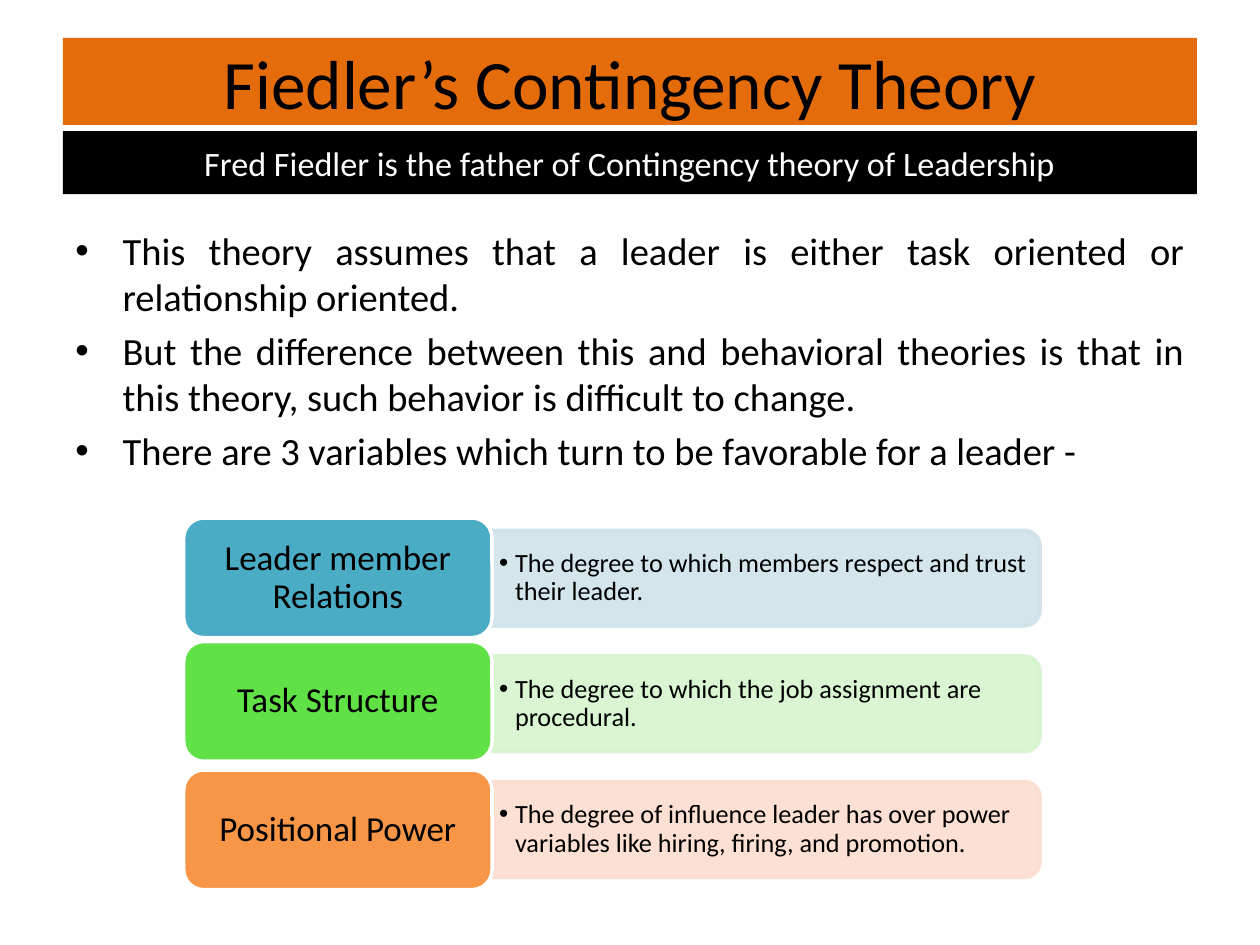
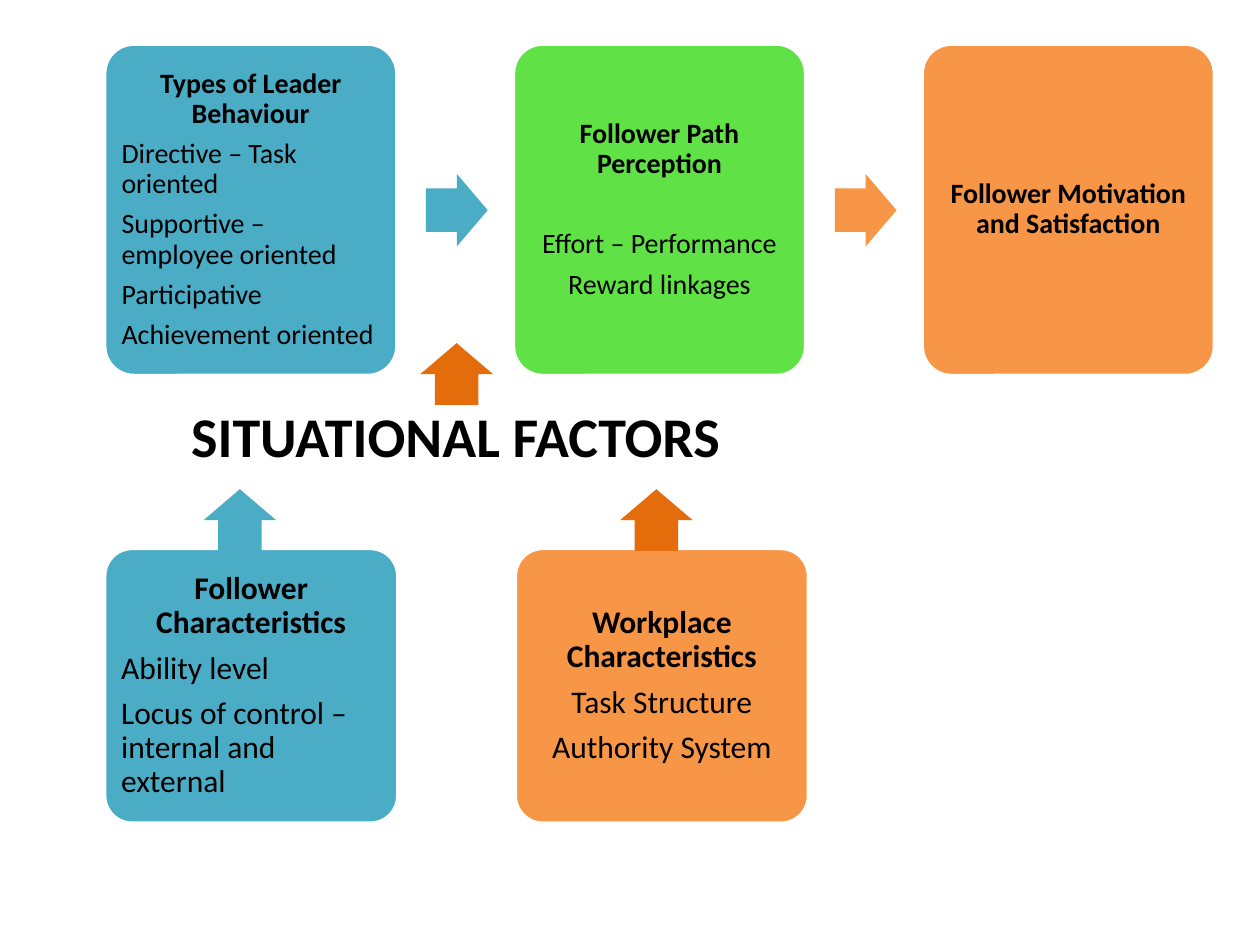
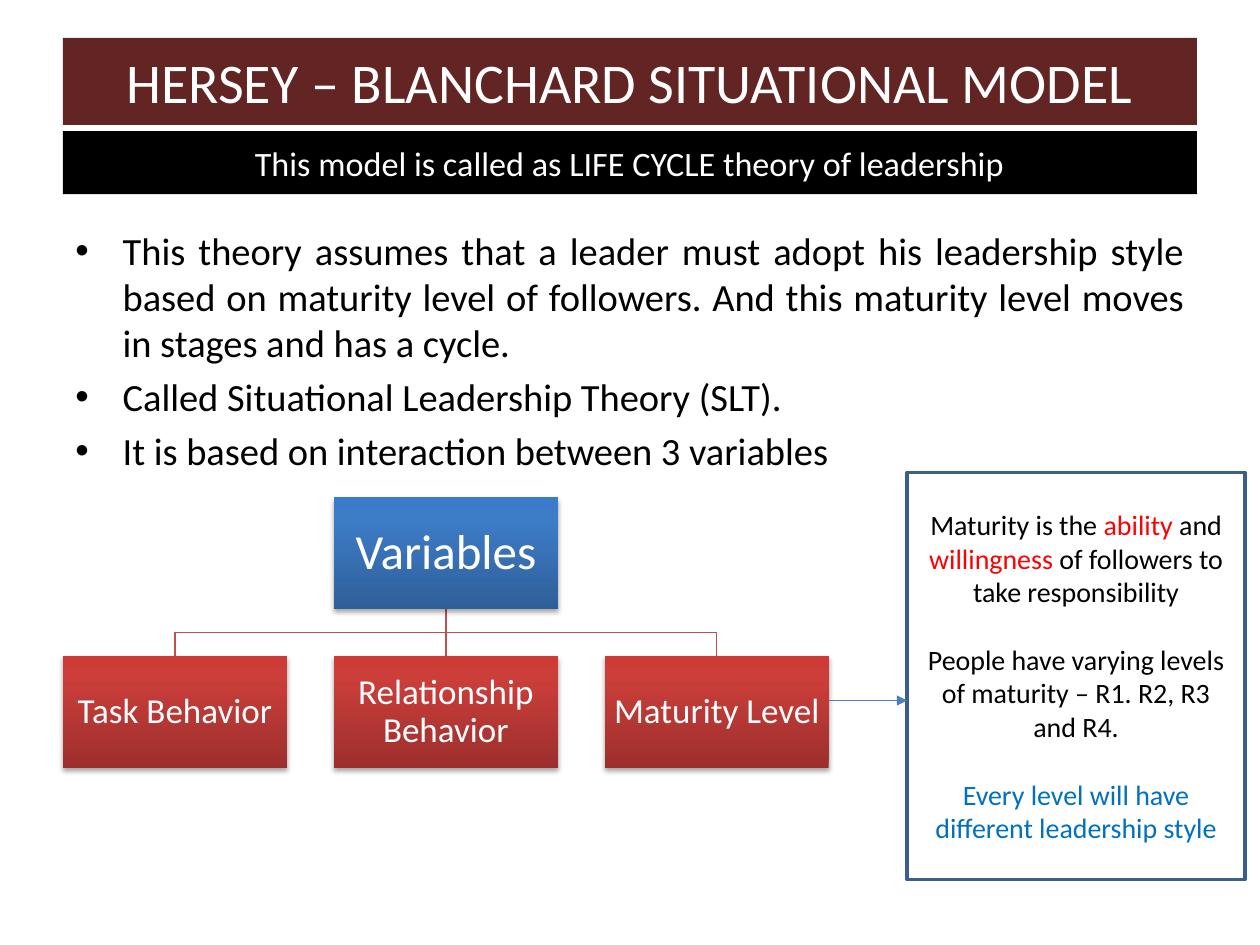
from dataclasses import dataclass
from lxml import etree
from pptx import Presentation
from pptx import util as u
from pptx.dml.color import RGBColor
from pptx.enum import shapes, text
from pptx.oxml import parse_xml
from pptx.oxml.ns import qn

Pt = u.Pt
Kind = shapes.MSO_SHAPE
Align = text.PP_ALIGN
Anchor = text.MSO_ANCHOR

FONT = "Calibri"
BLACK = RGBColor(0x00, 0x00, 0x00)
WHITE = RGBColor(0xFF, 0xFF, 0xFF)
RED = RGBColor(0xFF, 0x00, 0x00)
BLUE = RGBColor(0x00, 0x70, 0xC0)
TEAL = RGBColor(0x4B, 0xAC, 0xC6)
GREEN = RGBColor(0x60, 0xE1, 0x46)
ORANGE = RGBColor(0xF7, 0x96, 0x46)
DARK_ORANGE = RGBColor(0xE4, 0x6C, 0x0A)
MAROON = RGBColor(0x63, 0x25, 0x23)
PALE_TEAL = RGBColor(0xD0, 0xE3, 0xEA)
PALE_GREEN = RGBColor(0xD6, 0xF4, 0xCE)
PALE_ORANGE = RGBColor(0xFC, 0xDD, 0xCF)
TREE_LINE = RGBColor(0xC0, 0x50, 0x4D)
NOTE_LINE = RGBColor(0x3A, 0x5F, 0x8C)
ARROW_LINE = RGBColor(0x4B, 0x7E, 0xBC)
# Gradient stops, from bottom to top: position in percent, colour
BLUE_STOPS = [(0, RGBColor(0x2F, 0x5F, 0x99)), (80, RGBColor(0x3D, 0x7C, 0xC7)),
              (100, RGBColor(0x3A, 0x7C, 0xCB))]
RED_STOPS = [(0, RGBColor(0x9C, 0x2F, 0x2D)), (80, RGBColor(0xCB, 0x3E, 0x3A)),
             (100, RGBColor(0xCE, 0x3B, 0x37))]


@dataclass
class Line:
    """One paragraph; runs is a string or a list of (text, colour)."""
    runs: object
    align: object = Align.CENTER
    bold: bool = False
    before: float = 0


def heading(words):
    return Line(words, bold=True)


def left(words):
    return Line(words, Align.LEFT)


# ---------- Content ----------
FIEDLER = {
    "title": "Fiedler’s Contingency Theory", "size": 39.6,
    "fill": DARK_ORANGE, "color": BLACK,
    "subtitle": "Fred Fiedler is the father of Contingency theory of Leadership",
    "bullets": [
        "This theory assumes that a leader is either task oriented or relationship oriented.",
        "But the difference between this and behavioral theories is that in this theory, "
        "such behavior is difficult to change.",
        "There are 3 variables which turn to be favorable for a leader -"],
}
# Label, explanation, label fill, panel fill, label top
FIEDLER_VARIABLES = [
    ("Leader member Relations",
     "The degree to which members respect and trust their leader.", TEAL, PALE_TEAL, 296),
    ("Task Structure",
     "The degree to which the job assignment are procedural.", GREEN, PALE_GREEN, 366.6),
    ("Positional Power",
     "The degree of influence leader has over power variables like hiring, firing, "
     "and promotion.", ORANGE, PALE_ORANGE, 440),
]
PATH_STEPS = [
    (TEAL, [heading("Types of Leader Behaviour"), left("Directive – Task oriented"),
            left("Supportive – employee oriented"), left("Participative"),
            left("Achievement oriented")]),
    (GREEN, [heading("Follower Path Perception"),
             Line("Effort – Performance", before=22.9), Line("Reward linkages")]),
    (ORANGE, [heading("Follower Motivation and Satisfaction")]),
]
STEP_ARROWS = [TEAL, ORANGE]
FACTORS_TITLE = "SITUATIONAL FACTORS"
# Fill, text, arrow left, arrow fill
FACTORS = [
    (TEAL, [heading("Follower Characteristics"), left("Ability level"),
            left("Locus of control – internal and external")], 119.4, TEAL),
    (ORANGE, [heading("Workplace Characteristics"), Line("Task Structure"),
              Line("Authority System")], 357.4, DARK_ORANGE),
]
HERSEY = {
    "title": "HERSEY – BLANCHARD SITUATIONAL MODEL", "size": 32,
    "fill": MAROON, "color": WHITE,
    "subtitle": "This model is called as LIFE CYCLE theory of leadership",
    "bullets": [
        "This theory assumes that a leader must adopt his leadership style based on maturity "
        "level of followers. And this maturity level moves in stages and has a cycle.",
        "Called Situational Leadership Theory (SLT).",
        "It is based on interaction between 3 variables"],
}
TREE_ROOT = "Variables"
TREE_LEAVES = ["Task Behavior", "Relationship Behavior", "Maturity Level"]
MATURITY_NOTE = [
    Line([("Maturity is the ", BLACK), ("ability", RED), (" and ", BLACK),
          ("willingness", RED), (" of followers to take responsibility", BLACK)]),
    Line("People have varying levels of maturity – R1. R2, R3 and R4.", before=19.5),
    Line([("Every level will have different leadership style", BLUE)], before=19.5),
]


# ---------- Helpers ----------
def write(shape, lines, size, color=BLACK, anchor=Anchor.MIDDLE, insets=(7.2, 3.6),
          spacing=None, before=0, after=0, bullet_indent=0):
    frame = shape.text_frame
    frame.word_wrap = True
    frame.vertical_anchor = anchor
    frame.margin_left = frame.margin_right = Pt(insets[0])
    frame.margin_top = frame.margin_bottom = Pt(insets[1])
    for index, line in enumerate(lines):
        paragraph = frame.add_paragraph() if index else frame.paragraphs[0]
        paragraph.alignment = line.align
        paragraph.space_before = Pt(before + line.before)
        paragraph.space_after = Pt(after)
        if spacing:
            paragraph.line_spacing = spacing
        if bullet_indent:
            properties = paragraph._p.get_or_add_pPr()
            properties.set("marL", str(Pt(bullet_indent)))
            properties.set("indent", str(-Pt(bullet_indent)))
            etree.SubElement(properties, qn("a:buFont"), typeface="Arial")
            etree.SubElement(properties, qn("a:buChar"), char="•")
        runs = [(line.runs, color)] if isinstance(line.runs, str) else line.runs
        for words, run_color in runs:
            run = paragraph.add_run()
            run.text = words
            run.font.name = FONT
            run.font.size = Pt(size)
            run.font.bold = line.bold
            run.font.color.rgb = run_color


def add_shape(slide, kind, box, fill=None, line=None, width=2, adjust=(), rotation=0):
    shape = slide.shapes.add_shape(kind, *map(Pt, box))
    shape.shadow.inherit = False
    shape.rotation = rotation
    for index, value in enumerate(adjust):
        shape.adjustments[index] = value
    if fill is None:
        shape.fill.background()
    else:
        shape.fill.solid()
        shape.fill.fore_color.rgb = fill
    if line is None:
        shape.line.fill.background()
    else:
        shape.line.color.rgb = line
        shape.line.width = Pt(width)
    return shape


def add_text(slide, box, lines, size, **options):
    write(slide.shapes.add_textbox(*map(Pt, box)), lines, size, **options)


def add_line(slide, start, end, color, arrow=False):
    connector = slide.shapes.add_connector(
        shapes.MSO_CONNECTOR.STRAIGHT, *map(Pt, start + end))
    connector.line.color.rgb = color
    connector.line.width = Pt(0.75)
    if arrow:
        etree.SubElement(connector.line._get_or_add_ln(), qn("a:tailEnd"), type="triangle")
    etree.SubElement(connector._element.spPr, qn("a:effectLst"))


def add_elbow(slide, points, color):
    builder = slide.shapes.build_freeform(*map(Pt, points[0]))
    builder.add_line_segments([tuple(map(Pt, point)) for point in points[1:]], close=False)
    elbow = builder.convert_to_shape()
    elbow.shadow.inherit = False
    elbow.fill.background()
    elbow.line.color.rgb = color
    elbow.line.width = Pt(0.75)


def make_translucent(shape, percent):
    for color in shape._element.spPr.iter(qn("a:srgbClr")):
        etree.SubElement(color, qn("a:alpha"), val=str(percent * 1000))


def add_header(slide, content):
    bar = add_shape(slide, Kind.RECTANGLE, (36, 21.6, 648, 49.8), content["fill"])
    write(bar, [Line(content["title"])], content["size"], content["color"])
    bullets = [Line(words, Align.JUSTIFY) for words in content["bullets"]]
    add_text(slide, (36, 126, 648, 155.5), bullets, 22, anchor=Anchor.TOP,
             before=4.4, bullet_indent=27)
    band = add_shape(slide, Kind.RECTANGLE, (36, 75, 648, 36), BLACK)
    write(band, [Line(content["subtitle"])], 19.5, WHITE)


def add_card(slide, box, fill, lines, size, inset):
    card = add_shape(slide, Kind.ROUNDED_RECTANGLE, box, fill, WHITE, adjust=[0.1])
    write(card, lines, size, insets=(inset, inset), spacing=0.9, after=0.35 * size)


def add_block_arrow(slide, position, fill, rotation=0):
    add_shape(slide, Kind.RIGHT_ARROW, position + (35.3, 41.4), fill,
              adjust=[0.6, 0.5], rotation=rotation)


def add_tree_node(slide, box, label, size, stops):
    node = add_shape(slide, Kind.RECTANGLE, box, WHITE)
    properties = node._element.spPr
    namespace = 'xmlns:a="http://schemas.openxmlformats.org/drawingml/2006/main"'
    stop_xml = "".join(f'<a:gs pos="{position * 1000}"><a:srgbClr val="{color}"/></a:gs>'
                       for position, color in stops)
    properties.replace(properties.find(qn("a:solidFill")), parse_xml(
        f'<a:gradFill {namespace} rotWithShape="1"><a:gsLst>{stop_xml}</a:gsLst>'
        '<a:lin ang="16200000" scaled="0"/></a:gradFill>'))
    properties.replace(properties.find(qn("a:effectLst")), parse_xml(
        f'<a:effectLst {namespace}><a:outerShdw blurRad="{Pt(3.1)}" dist="{Pt(1.8)}" '
        'dir="5400000" rotWithShape="0"><a:srgbClr val="000000"><a:alpha val="35000"/>'
        '</a:srgbClr></a:outerShdw></a:effectLst>'))
    write(node, [Line(label)], size, WHITE, insets=(1, 1), spacing=0.9)


presentation = Presentation()
presentation.slide_width, presentation.slide_height = Pt(720), Pt(540)


def new_slide():
    return presentation.slides.add_slide(presentation.slide_layouts[6])


# ---------- Slide 1: Fiedler ----------
slide = new_slide()
add_header(slide, FIEDLER)
PANEL_WIDTH, PANEL_HEIGHT, PANEL_PITCH = 313.2, 54.7, 71.8
for row, (label, explanation, fill, pale, label_top) in enumerate(FIEDLER_VARIABLES):
    middle = 330.4 + row * PANEL_PITCH
    # The panel stands upright and is turned a quarter, so its round corners face right
    panel = add_shape(slide, Kind.ROUND_2_SAME_RECTANGLE,
                      (437.8 - PANEL_HEIGHT / 2, middle - PANEL_WIDTH / 2,
                       PANEL_HEIGHT, PANEL_WIDTH), pale, pale, rotation=90)
    make_translucent(panel, 90)
    add_text(slide, (281, middle - 24.8, 310.5, 49.7), [left(explanation)], 15,
             insets=(4.3, 2.2), spacing=0.9, after=2.25, bullet_indent=9)
    box = add_shape(slide, Kind.ROUNDED_RECTANGLE, (105, label_top, 176.2, 68.4), fill, WHITE)
    write(box, [Line(label)], 20, insets=(6, 3), spacing=0.9)

# ---------- Slide 2: path and situational factors ----------
slide = new_slide()
CARD_LEFT, STEP_PITCH, FACTOR_PITCH = 59.8, 233.6, 234.7
for column, (fill, lines) in enumerate(PATH_STEPS):
    add_card(slide, (CARD_LEFT + column * STEP_PITCH, 25.2, 167, 189.4), fill, lines, 16, 4.8)
for column, fill in enumerate(STEP_ARROWS, 1):
    add_block_arrow(slide, (CARD_LEFT + column * STEP_PITCH - 50, 99.4), fill)
for column, (fill, lines, arrow_left, arrow_fill) in enumerate(FACTORS):
    add_card(slide, (CARD_LEFT + column * FACTOR_PITCH, 313.4, 167.5, 157), fill, lines, 18, 4.8)
    add_block_arrow(slide, (arrow_left, 276.5), arrow_fill, 270)
add_text(slide, (102.2, 226, 360, 46), [Line(FACTORS_TITLE, Align.LEFT, True)], 32,
         anchor=Anchor.TOP)
add_block_arrow(slide, (243.3, 193), DARK_ORANGE, 270)

# ---------- Slide 3: Hersey and Blanchard ----------
slide = new_slide()
add_header(slide, HERSEY)
NODE_WIDTH, NODE_HEIGHT, NODE_PITCH = 128, 64, 154.8
ROOT_TOP, LEAF_TOP = 284.2, 375
leaf_lefts = [36 + column * NODE_PITCH for column in range(len(TREE_LEAVES))]
root_left = leaf_lefts[1]
root_center, root_bottom = root_left + NODE_WIDTH / 2, ROOT_TOP + NODE_HEIGHT
branch_y = (root_bottom + LEAF_TOP) / 2
for leaf_left in (leaf_lefts[2], leaf_lefts[0]):
    leaf_center = leaf_left + NODE_WIDTH / 2
    add_elbow(slide, [(root_center, root_bottom), (root_center, branch_y),
                      (leaf_center, branch_y), (leaf_center, LEAF_TOP)], TREE_LINE)
add_line(slide, (root_center, root_bottom), (root_center, LEAF_TOP), TREE_LINE)
add_tree_node(slide, (root_left, ROOT_TOP, NODE_WIDTH, NODE_HEIGHT), TREE_ROOT, 28, BLUE_STOPS)
for leaf_left, label in zip(leaf_lefts, TREE_LEAVES):
    add_tree_node(slide, (leaf_left, LEAF_TOP, NODE_WIDTH, NODE_HEIGHT), label, 20, RED_STOPS)

# Note on maturity, with its arrow
note = add_shape(slide, Kind.RECTANGLE, (518.4, 270, 193, 232.6), line=NOTE_LINE)
write(note, MATURITY_NOTE, 16)
add_line(slide, (leaf_lefts[2] + NODE_WIDTH, 400.3), (518.4, 400.3), ARROW_LINE, arrow=True)

presentation.save("out.pptx")
